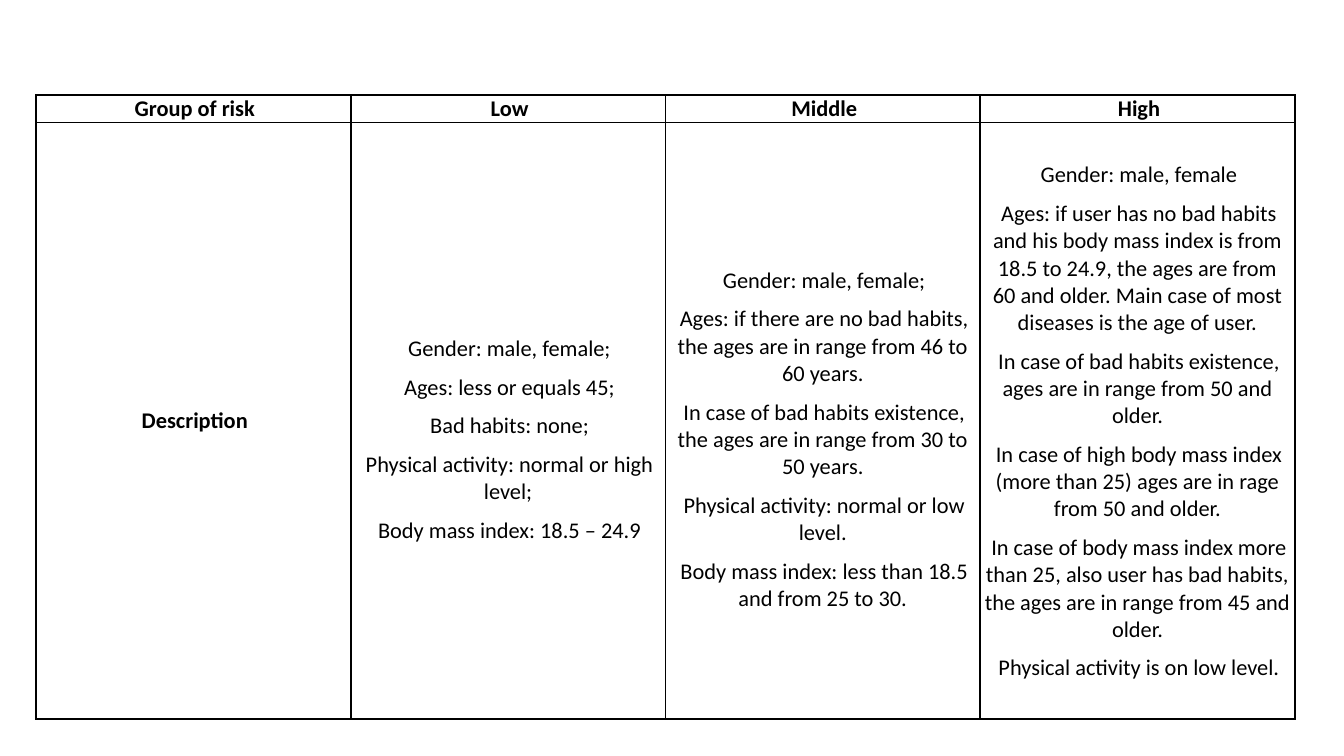
from lxml.etree import SubElement
from pptx import Presentation
from pptx.dml.color import RGBColor
from pptx.enum.text import MSO_ANCHOR, PP_ALIGN
from pptx.oxml.ns import qn
from pptx.util import Pt

PX = 914400 / 134.4  # EMU in one px
BLACK = "000000"


def px(length):
    return round(length * PX)


def add_borders(cell, color):
    properties = cell._tc.get_or_add_tcPr()
    for index, side in enumerate(("lnL", "lnR", "lnT", "lnB")):
        line = SubElement(properties, qn(f"a:{side}"), w=str(Pt(1)))
        fill = SubElement(line, qn("a:solidFill"))
        SubElement(fill, qn("a:srgbClr"), val=color)
        # Borders have to come before the cell's fill
        properties.insert(index, line)


headings = ["Group of risk", "Low", "Middle", "High"]
descriptions = [
    ["Description"],
    [
        "Gender: male, female;",
        "Ages: less or equals 45;",
        "Bad habits: none;",
        "Physical activity: normal or high level;",
        "Body mass index: 18.5 – 24.9",
    ],
    [
        "Gender: male, female;",
        "Ages: if there are no bad habits, the ages are in range from 46 to 60 years.",
        "In case of bad habits existence, the ages are in range from 30 to 50 years.",
        "Physical activity: normal or low level.",
        "Body mass index: less than 18.5 and from 25 to 30.",
    ],
    [
        "Gender: male, female",
        "Ages: if user has no bad habits and his body mass index is from 18.5 to 24.9, "
        "the ages are from 60 and older. Main case of most diseases is the age of user.",
        "In case of bad habits existence, ages are in range from 50 and older.",
        "In case of high body mass index (more than 25) ages are in rage from 50 and older.",
        "In case of body mass index more than 25, also user has bad habits, "
        "the ages are in range from 45 and older.",
        "Physical activity is on low level.",
    ],
]
rows = [[[heading] for heading in headings], descriptions]
row_heights = [27, 597]

# Page
deck = Presentation()
deck.slide_width, deck.slide_height = px(1344), px(756)
page = deck.slides.add_slide(deck.slide_layouts[6])

# Risk table
table = page.shapes.add_table(
    len(rows), len(headings), px(36), px(95), px(1259), px(sum(row_heights))
).table
table.horz_banding = False
for column in table.columns:
    column.width = px(1259 / len(headings))

for row_index, texts in enumerate(rows):
    table.rows[row_index].height = px(row_heights[row_index])
    for column_index, lines in enumerate(texts):
        cell = table.cell(row_index, column_index)
        cell.fill.background()
        add_borders(cell, BLACK)
        cell.vertical_anchor = MSO_ANCHOR.MIDDLE
        cell.margin_left = cell.margin_right = px(4)
        # Risk descriptions sit lower; the longest has room on both ends
        cell.margin_top = px(38 if len(lines) > 1 else 0)
        cell.margin_bottom = px(36 if len(lines) > 5 else 0)

        cell.text = "\n".join(lines)
        for para in cell.text_frame.paragraphs:
            para.alignment = PP_ALIGN.CENTER
            para.space_after = Pt(6)
            para._p.get_or_add_pPr().set("indent", str(px(3)))
            para.font.name = "Calibri"
            para.font.size = Pt(12)
            para.font.bold = len(lines) == 1
            para.font.color.rgb = RGBColor.from_string(BLACK)

deck.save("out.pptx")
